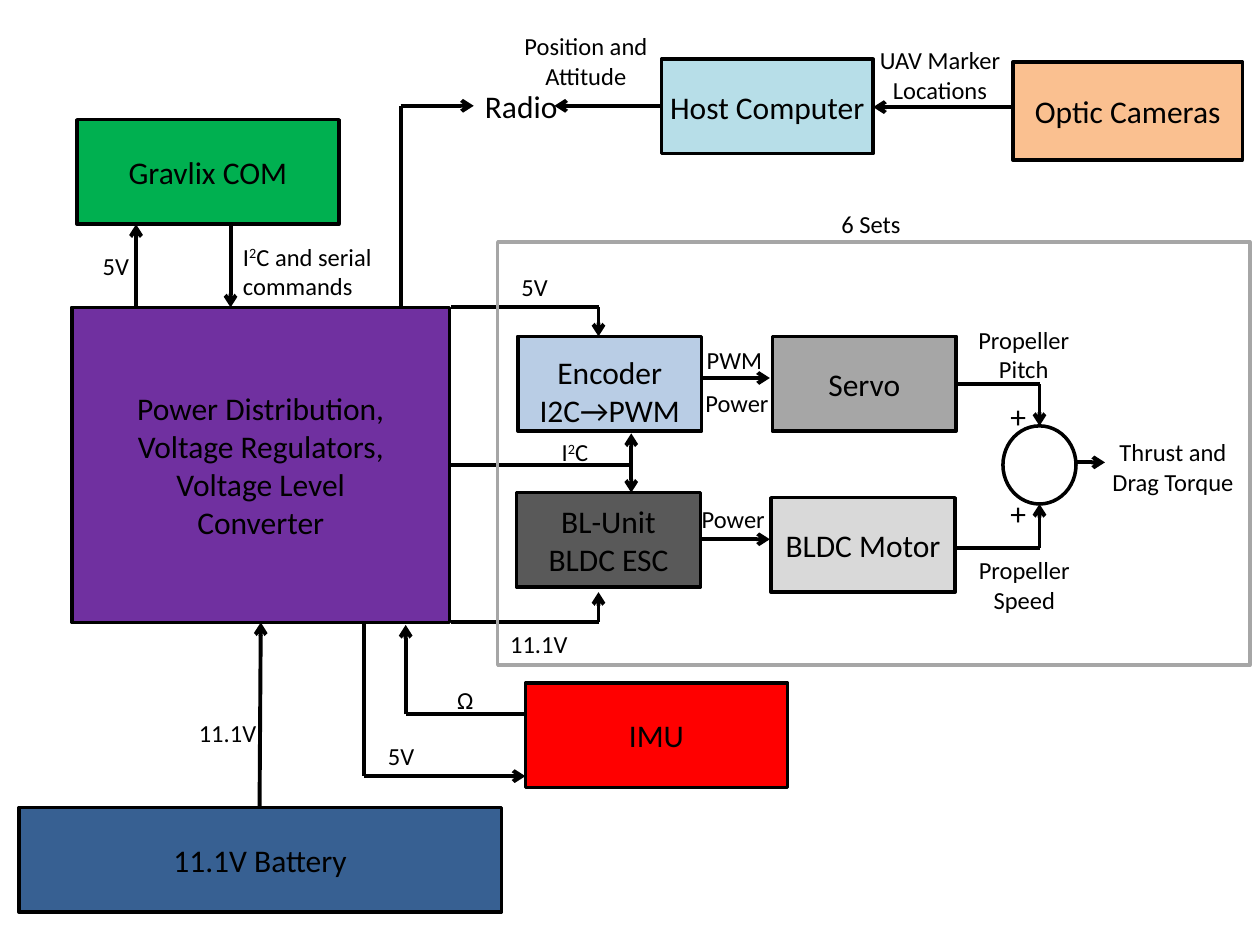
from dataclasses import dataclass
from itertools import pairwise

from lxml.etree import SubElement
from pptx import Presentation
from pptx.dml.color import RGBColor
from pptx.enum.shapes import MSO_CONNECTOR as Connector, MSO_SHAPE as Shape
from pptx.enum.text import MSO_ANCHOR as Anchor, PP_ALIGN as Align
from pptx.oxml.ns import qn
from pptx.util import Inches, Pt


@dataclass(frozen=True)
class Theme:
    font: str = "Calibri"
    block_size: int = 18
    label_size: int = 14
    outline: float = 2
    arrow: float = 2.25
    ink: str = "000000"
    frame: str = "A6A6A6"
    computer: str = "00B050"
    power: str = "7030A0"
    battery: str = "376092"
    imu: str = "FF0000"
    converter: str = "B9CDE5"
    servo: str = "A6A6A6"
    controller: str = "595959"
    motor: str = "D9D9D9"
    host: str = "B7DEE8"
    cameras: str = "FAC090"


THEME = Theme()


@dataclass(frozen=True)
class Region:
    page: object
    left: float
    top: float
    width: float
    height: float

    def place(self, x, y, width, height):
        return (Inches(self.left + x), Inches(self.top + y),
                Inches(width), Inches(height))

    def outline(self, kind, spot, fill=None, line=THEME.ink):
        shape = self.page.shapes.add_shape(kind, *self.place(*spot))
        shape.shadow.inherit = False
        if fill:
            shape.fill.solid()
            shape.fill.fore_color.rgb = RGBColor.from_string(fill)
        else:
            shape.fill.background()
        shape.line.color.rgb = RGBColor.from_string(line)
        shape.line.width = Pt(THEME.outline)
        return shape

    def block(self, text, spot, fill, side=0.05, top=0.05):
        frame = self.outline(Shape.RECTANGLE, spot, fill).text_frame
        frame.margin_left = frame.margin_right = Inches(side)
        frame.margin_top, frame.margin_bottom = Inches(top), Inches(0.05)
        frame.vertical_anchor = Anchor.MIDDLE
        write(frame, text, THEME.block_size, Align.CENTER)

    def label(self, text, spot, align=Align.LEFT, size=THEME.label_size):
        box = self.page.shapes.add_textbox(*self.place(*spot))
        write(box.text_frame, text, size, align)

    def route(self, *points):
        for start, end in pairwise(points):
            ends = [Inches(value) for x, y in (start, end)
                    for value in (self.left + x, self.top + y)]
            line = self.page.shapes.add_connector(Connector.STRAIGHT, *ends)
            line.line.color.rgb = RGBColor.from_string(THEME.ink)
            line.line.width = Pt(THEME.arrow)
            if end == points[-1]:
                SubElement(line.line._get_or_add_ln(), qn("a:tailEnd"), type="arrow")
            SubElement(line._element.spPr, qn("a:effectLst"))


def write(frame, text, size, align):
    frame.word_wrap = True
    para = frame.paragraphs[0]
    para.alignment = align
    for index, part in enumerate(text.split("^")):
        span = para.add_run()
        span.text = part
        span.font.name = THEME.font
        span.font.size = Pt(size)
        span.font.color.rgb = RGBColor.from_string(THEME.ink)
        if index % 2:
            span.font._element.set("baseline", "30000")


def draw_avionics(region):
    block = (2.08, 0.83)
    region.block("Gravlix COM", (0.46, 0, *block), THEME.computer)
    region.block("Power Distribution, Voltage Regulators, Voltage Level Converter",
                 (0.42, 1.49, 3, 2.5), THEME.power, side=0.45)
    region.block("11.1V Battery", (0, 5.46, 3.83, 0.83), THEME.battery)
    region.block("IMU", (4.02, 4.47, *block), THEME.imu)
    region.route((1.91, 5.46), (1.92, 3.99))
    region.route((0.93, 1.49), (0.93, 0.83))
    region.route((1.68, 0.84), (1.68, 1.49))
    region.route((2.74, 3.99), (2.74, 5.21), (4.02, 5.21))
    region.route((4.02, 4.72), (3.07, 4.72), (3.07, 4.01))
    region.label("5V", (0.16, 0.99, 1.22, 0.34), Align.CENTER)
    region.label("I^2^C and serial commands", (1.68, 0.92, 1.28, 0.57))
    region.label("11.1V", (1.33, 4.7, 1, 0.34))
    region.label("5V", (2.83, 4.88, 0.48, 0.34))
    region.label("Ω", (3.38, 4.44, 0.48, 0.34))


def draw_actuators(region):
    block = (1.46, 0.75)
    region.block("Encoder I2C→PWM", (0.16, 0.75, *block), THEME.converter, top=0.17)
    region.block("Servo", (2.18, 0.75, *block), THEME.servo)
    region.block("BL-Unit BLDC ESC", (0.15, 1.99, *block), THEME.controller, side=0.2)
    region.block("BLDC Motor", (2.17, 2.03, *block), THEME.motor)
    region.outline(Shape.OVAL, (4.01, 1.46, 0.58, 0.62))
    region.route((-0.37, 0.52), (0.8, 0.52), (0.8, 0.75))
    region.route((-0.37, 3.02), (0.8, 3.02), (0.8, 2.78))
    region.route((-0.38, 1.77), (1.06, 1.77), (1.06, 1.52))
    region.route((1.06, 1.77), (1.06, 1.99))
    for y in (1.08, 2.36):
        region.route((1.62, y), (2.16, y))
    for y, tip in ((1.13, 1.46), (2.43, 2.08)):
        region.route((3.64, y), (4.3, y), (4.3, tip))
    region.route((4.59, 1.75), (4.82, 1.75))
    for y in (1.18, 1.95):
        region.label("+", (3.97, y, 0.36, 0.4), size=THEME.block_size)
    for text, x, y, width in (
        ("6 Sets", 2.63, -0.31, 0.87),
        ("5V", 0.09, 0.19, 0.48),
        ("I^2^C", 0.41, 1.5, 1.47),
        ("11.1V", 0, 3.02, 0.72),
        ("PWM", 1.56, 0.77, 0.72),
        ("Power", 1.55, 1.11, 0.72),
        ("Power", 1.52, 2.03, 0.72),
    ):
        region.label(text, (x, y, width, 0.34))
    for text, x, y, width in (
        ("Propeller Pitch", 3.62, 0.61, 1.11),
        ("Propeller Speed", 3.65, 2.44, 1.06),
        ("Thrust and Drag Torque", 4.66, 1.5, 1.4),
    ):
        region.label(text, (x, y, width, 0.57), Align.CENTER)
    region.outline(Shape.RECTANGLE, (0, 0, region.width, region.height),
                   line=THEME.frame)


def draw_tracking(region):
    region.block("Host Computer", (2.25, 0.27, 1.68, 0.75), THEME.host)
    region.block("Optic Cameras", (5.04, 0.29, 1.82, 0.78), THEME.cameras)
    region.label("Radio", (0.75, 0.44, 0.8, 0.4), size=THEME.block_size)
    region.route((0.18, 2.24), (0.18, 0.64), (0.76, 0.64))
    region.route((2.25, 0.64), (1.4, 0.64))
    region.route((5.04, 0.65), (3.93, 0.65))
    region.label("Position and Attitude", (1.04, 0, 1.22, 0.57), Align.CENTER)
    region.label("UAV Marker Locations", (3.85, 0.11, 1.22, 0.57), Align.CENTER)


deck = Presentation()
deck.slide_width, deck.slide_height = Inches(10), Inches(7.5)
page = deck.slides.add_slide(deck.slide_layouts[6])
draw_avionics(Region(page, 0.15, 0.95, 6.1, 6.29))
draw_actuators(Region(page, 3.95, 1.92, 5.97, 3.36))
draw_tracking(Region(page, 3, 0.2, 6.86, 2.24))
deck.save("out.pptx")
